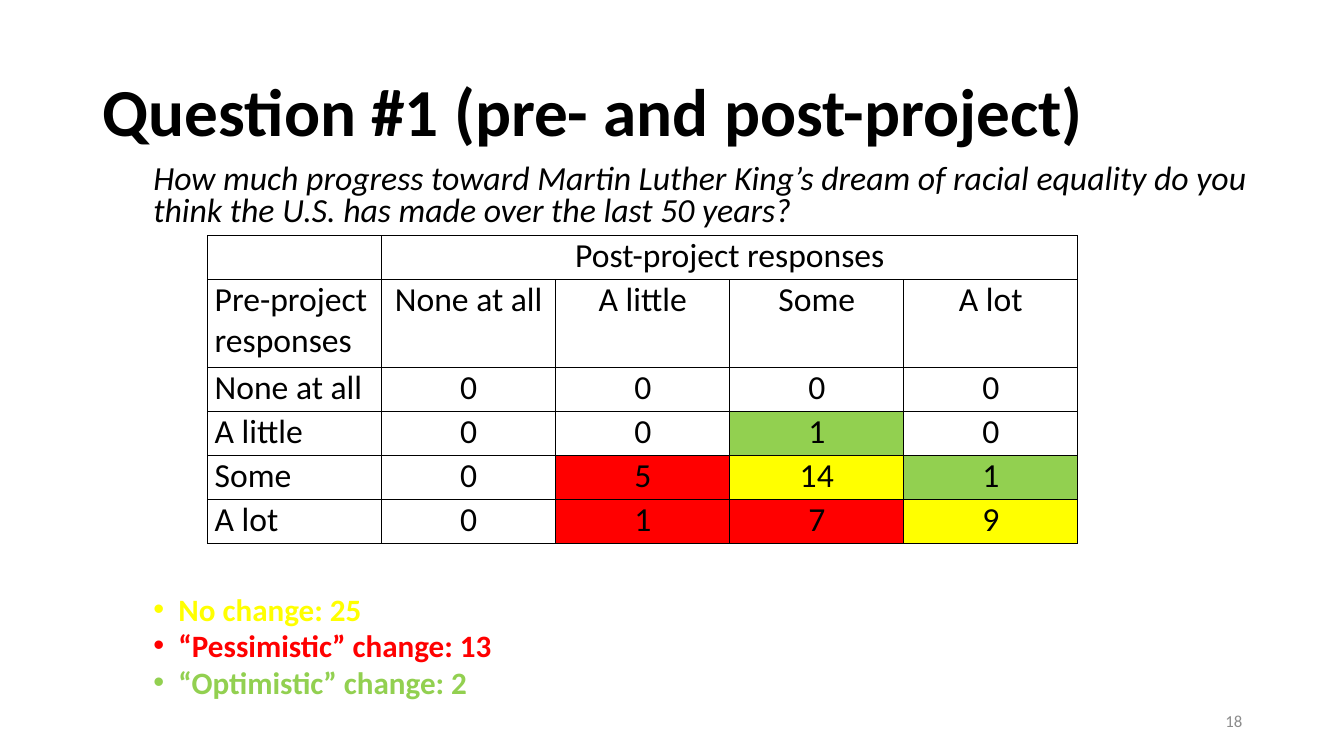
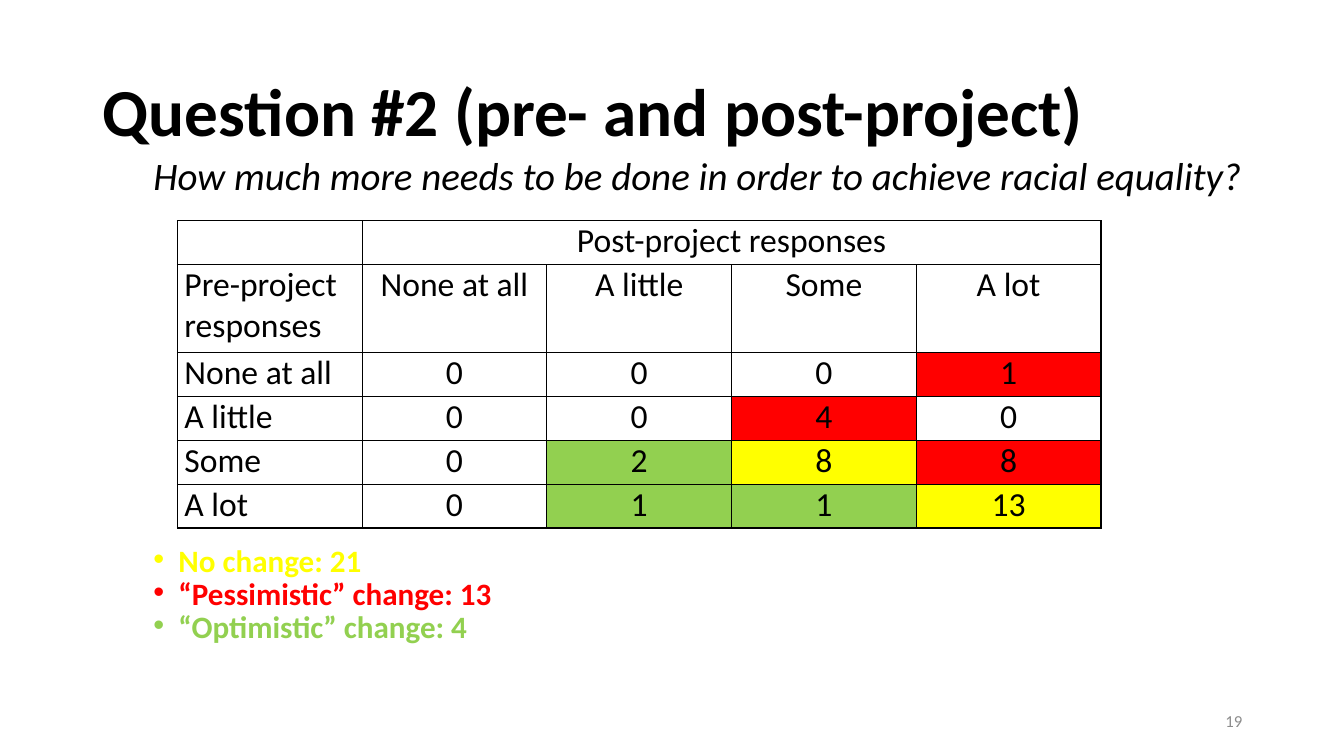
import pptx
import pptx.dml.color
import pptx.enum.text
import pptx.oxml
import pptx.oxml.ns
import pptx.util
from pptx.util import Inches

# Content
ANSWERS = ["None at all", "A little", "Some", "A lot"]
COLUMN_TITLE = "Post-project responses"
ROW_TITLE = "Pre-project responses"
QUESTIONS = [
    {
        "title": "Question #1 (pre- and post-project)",
        "question": "How much progress toward Martin Luther King’s dream of racial "
                    "equality do you think the U.S. has made over the last 50 years?",
        "counts": [[0, 0, 0, 0], [0, 0, 1, 0], [0, 5, 14, 1], [0, 1, 7, 9]],
        "more_is": "optimistic",
        "summary": {"unchanged": "No change: 25",
                    "pessimistic": "“Pessimistic” change: 13",
                    "optimistic": "“Optimistic” change: 2"},
        "number": "18",
        "question_size": 24.1, "line_spacing": 0.8, "summary_gap": 263,
        "body_height": 5.45, "table_at": (2.06, 2.34), "table_width": 8.63,
    },
    {
        "title": "Question #2 (pre- and post-project)",
        "question": "How much more needs to be done in order to achieve racial equality?",
        "counts": [[0, 0, 0, 1], [0, 0, 4, 0], [0, 2, 8, 8], [0, 1, 1, 13]],
        "more_is": "pessimistic",
        "summary": {"unchanged": "No change: 21",
                    "pessimistic": "“Pessimistic” change: 13",
                    "optimistic": "“Optimistic” change: 4"},
        "number": "19",
        "question_size": 27.8, "line_spacing": 0.7, "summary_gap": 253,
        "body_height": 5.01, "table_at": (1.76, 2.19), "table_width": 9.16,
    },
]

# Shared style
FONT = "Calibri"
COLORS = {"text": "000000", "number": "8C8C8C", "unchanged": "FFFF00",
          "pessimistic": "FF0000", "optimistic": "92D050"}
ROW_UNITS = [1, 2, 1, 1, 1, 1]
TABLE_HEIGHT = 3.05
ALIGN = pptx.enum.text.PP_ALIGN
MIDDLE = pptx.enum.text.MSO_ANCHOR.MIDDLE


def add_text(frame, text, size=24, color="text", bold=False, italic=False,
             align=ALIGN.LEFT, line_spacing=1.0, space_before=0, level=0):
    """Fill the frame's empty first paragraph, or append a new one."""
    paragraph = frame.paragraphs[0] if not frame.text else frame.add_paragraph()
    paragraph.alignment = align
    paragraph.line_spacing = line_spacing
    paragraph.space_before = pptx.util.Pt(space_before)
    paragraph.level = level
    run = paragraph.add_run()
    run.text = text
    run.font.name = FONT
    run.font.size = pptx.util.Pt(size)
    run.font.bold = bold
    run.font.italic = italic
    run.font.color.rgb = pptx.dml.color.RGBColor.from_string(COLORS[color])
    return paragraph


def add_xml(parent, xml):
    head, rest = xml.split(" ", 1)
    element = pptx.oxml.parse_xml(f"{head} {pptx.oxml.ns.nsdecls('a')} {rest}")
    parent.append(element)


def set_indent(paragraph, left, hanging=0, bullet=None):
    properties = paragraph._p.get_or_add_pPr()
    properties.set("marL", str(Inches(left)))
    properties.set("indent", str(-Inches(hanging)))
    if bullet:
        add_xml(properties, '<a:buFont typeface="Arial"/>')
        add_xml(properties, f'<a:buChar char="{bullet}"/>')
    else:
        add_xml(properties, "<a:buNone />")


def place(shape, left, top, width, height):
    shape.left, shape.top = Inches(left), Inches(top)
    shape.width, shape.height = Inches(width), Inches(height)


def format_cell(cell, color=None):
    cell.margin_left = cell.margin_right = Inches(0.07)
    cell.margin_top = cell.margin_bottom = 0
    properties = cell._tc.get_or_add_tcPr()
    for side in ("lnL", "lnR", "lnT", "lnB"):
        add_xml(properties, f'<a:{side} w="12700"><a:solidFill><a:srgbClr '
                            f'val="{COLORS["text"]}"/></a:solidFill></a:{side}>')
    if color:
        cell.fill.solid()
        cell.fill.fore_color.rgb = pptx.dml.color.RGBColor.from_string(COLORS[color])
    else:
        cell.fill.background()


def change_kind(before, after, count, more_is):
    """Name the direction of change, or None where nobody answered so."""
    if not count:
        return None
    if before == after:
        return "unchanged"
    less_is = "pessimistic" if more_is == "optimistic" else "optimistic"
    return more_is if after > before else less_is


def add_response_table(slide, content):
    left, top = content["table_at"]
    rows = [["", COLUMN_TITLE, "", "", ""], [ROW_TITLE, *ANSWERS]]
    rows += [[answer, *map(str, counts)]
             for answer, counts in zip(ANSWERS, content["counts"])]
    frame = slide.shapes.add_table(
        len(rows), len(rows[0]), Inches(left), Inches(top),
        Inches(content["table_width"]), Inches(TABLE_HEIGHT))
    table = frame.table
    table.first_row = table.horz_banding = False
    for row, units in zip(table.rows, ROW_UNITS):
        row.height = Inches(TABLE_HEIGHT * units / sum(ROW_UNITS))
    for i, row in enumerate(rows):
        for j, text in enumerate(row):
            kind = None
            if i > 1 and j > 0:
                kind = change_kind(i - 2, j - 1, int(text), content["more_is"])
            cell = table.cell(i, j)
            format_cell(cell, kind)
            if text:
                add_text(cell.text_frame, text,
                         align=ALIGN.CENTER if j else ALIGN.JUSTIFY)
    table.cell(0, 1).merge(table.cell(0, len(ANSWERS)))


def add_question_slide(presentation, content):
    slide = presentation.slides.add_slide(presentation.slide_layouts[1])

    # Title
    title = slide.shapes.title
    place(title, 0.92, 0.41, 11.5, 1.45)
    title.text_frame.vertical_anchor = MIDDLE
    add_text(title.text_frame, content["title"], size=48, bold=True, line_spacing=0.9)

    # Slide number
    number = slide.shapes.add_textbox(
        Inches(9.42), Inches(6.95), Inches(3), Inches(0.4))
    number.text_frame.word_wrap = True
    number.text_frame.vertical_anchor = MIDDLE
    add_text(number.text_frame, content["number"], size=12, color="number",
             align=ALIGN.RIGHT)

    # Question above the table, summary below it
    body = slide.placeholders[1]
    place(body, 0.92, 1.58, 11.75, content["body_height"])
    frame = body.text_frame
    frame.auto_size = pptx.enum.text.MSO_AUTO_SIZE.NONE
    spacing = content["line_spacing"]
    question = add_text(frame, content["question"], size=content["question_size"],
                        italic=True, line_spacing=spacing, space_before=5, level=1)
    set_indent(question, 0.5)
    for index, (kind, text) in enumerate(content["summary"].items()):
        item = add_text(frame, text, size=22.2, color=kind, bold=True,
                        line_spacing=spacing, level=1,
                        space_before=5 if index else content["summary_gap"])
        set_indent(item, 0.75, hanging=0.25, bullet="•")

    add_response_table(slide, content)


def main():
    presentation = pptx.Presentation()
    presentation.slide_width = Inches(13.33)
    presentation.slide_height = Inches(7.5)
    for content in QUESTIONS:
        add_question_slide(presentation, content)
    presentation.save("out.pptx")


if __name__ == "__main__":
    main()
